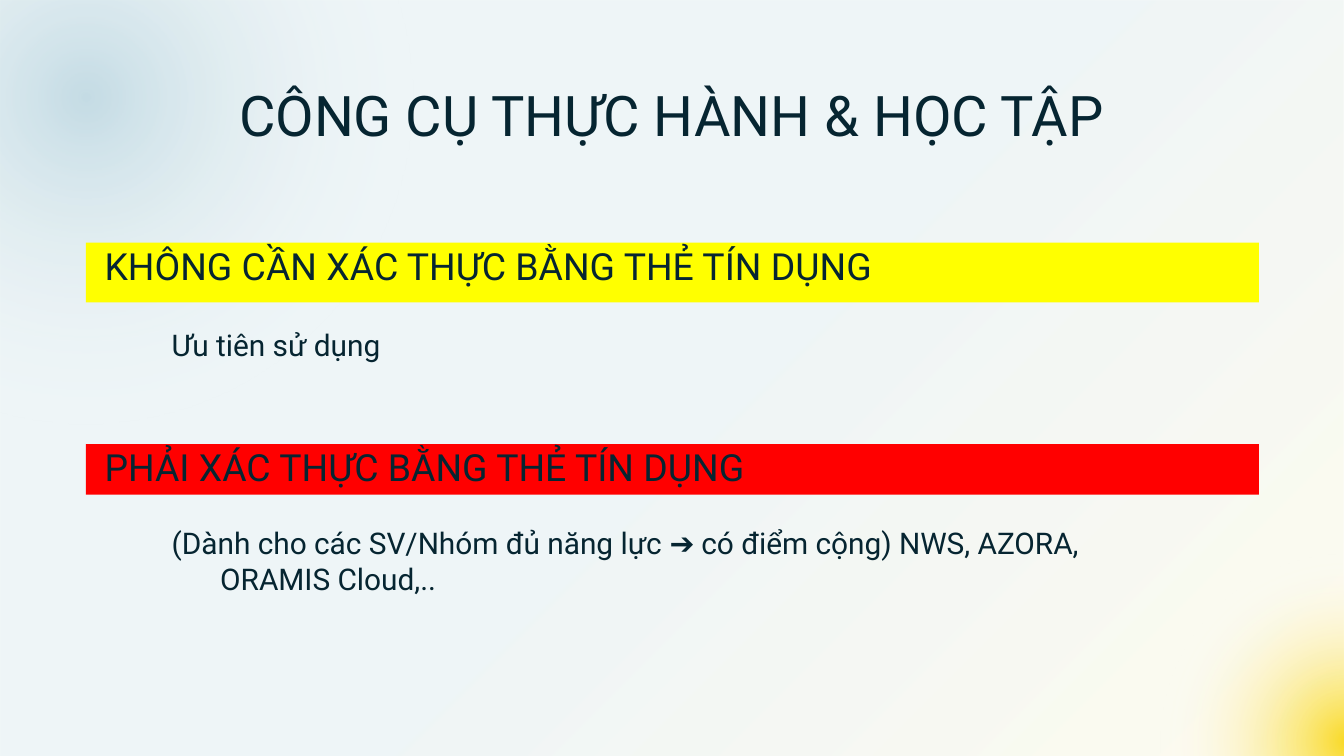
from lxml import etree
from pptx import Presentation
from pptx.dml.color import RGBColor
from pptx.enum.shapes import MSO_SHAPE
from pptx.enum.text import MSO_ANCHOR, PP_ALIGN
from pptx.oxml.ns import qn
from pptx.util import Pt

RECT, OVAL = MSO_SHAPE.RECTANGLE, MSO_SHAPE.OVAL
TOP, MIDDLE = MSO_ANCHOR.TOP, MSO_ANCHOR.MIDDLE
LEFT, CENTER = PP_ALIGN.LEFT, PP_ALIGN.CENTER

WIDE, HIGH = 720, 405
FONT = "Roboto"
COLORS = {
    "ink": "062531",
    "blue": "187498",
    "gold": "F9D923",
    "white": "FFFFFF",
    "yellow": "FFFF00",
    "red": "FF0000",
}


def add_shape(slide, kind, box):
    shape = slide.shapes.add_shape(kind, *map(Pt, box))
    shape.shadow.inherit = False
    shape.line.fill.background()
    shape.fill.background()
    return shape


def add_blend(slide, kind, box, stops, angle=None):
    """Gradient shape; stops are (position, color, opacity) in percent.

    Without an angle the gradient spreads from the centre.
    """
    shape = add_shape(slide, kind, box)
    grad = etree.Element(qn("a:gradFill"), rotWithShape="1")
    row = etree.SubElement(grad, qn("a:gsLst"))
    for pos, name, alpha in stops:
        stop = etree.SubElement(row, qn("a:gs"), pos=str(pos * 1000))
        color = etree.SubElement(stop, qn("a:srgbClr"), val=COLORS[name])
        etree.SubElement(color, qn("a:alpha"), val=str(alpha * 1000))
    if angle is None:
        way = etree.SubElement(grad, qn("a:path"), path="circle")
        sides = dict.fromkeys("ltrb", "50000")
        etree.SubElement(way, qn("a:fillToRect"), **sides)
    else:
        etree.SubElement(grad, qn("a:lin"), ang=str(angle * 60000), scaled="0")
    props = shape._element.spPr
    props.replace(props.find(qn("a:noFill")), grad)


def add_glow(slide, x, y, radius, name, alpha):
    box = (x - radius, y - radius, 2 * radius, 2 * radius)
    stops = [(0, name, alpha), (50, "white", 0), (100, "white", 0)]
    add_blend(slide, OVAL, box, stops)


def set_text(shape, text, size, align=LEFT, anchor=TOP, hang=True):
    frame = shape.text_frame
    frame.word_wrap = True
    frame.vertical_anchor = anchor
    frame.margin_left = frame.margin_right = 0
    frame.margin_top = frame.margin_bottom = 0
    para = frame.paragraphs[0]
    para.text = text
    para.alignment = align
    para.font.name = FONT
    para.font.size = Pt(size)
    para.font.color.rgb = RGBColor.from_string(COLORS["ink"])
    if hang:
        props = para._p.get_or_add_pPr()
        props.set("marL", str(Pt(36)))
        props.set("indent", str(Pt(-26)))


def add_label(slide, box, text, size, **style):
    label = slide.shapes.add_textbox(*map(Pt, box))
    set_text(label, text, size, **style)


def add_bar(slide, top, high, name, text):
    bar = add_shape(slide, RECT, (46, top, 628.5, high))
    bar.fill.solid()
    bar.fill.fore_color.rgb = RGBColor.from_string(COLORS[name])
    set_text(bar, text, 20)


def main():
    deck = Presentation()
    deck.slide_width, deck.slide_height = Pt(WIDE), Pt(HIGH)
    slide = deck.slides.add_slide(deck.slide_layouts[6])

    # Backdrop: pale diagonal wash and two corner glows
    wash = [(0, "blue", 7), (50, "blue", 7), (100, "gold", 7)]
    add_blend(slide, RECT, (0, 0, WIDE, HIGH), wash, angle=45)
    add_glow(slide, 46, 52, 250.5, "blue", 19)
    add_glow(slide, 722, 397, 142, "gold", 100)

    # Title
    add_label(slide, (57.5, 42.5, 605, 37), "CÔNG CỤ THỰC HÀNH & HỌC TẬP", 30,
              align=CENTER, anchor=MIDDLE, hang=False)

    # Sections: a colored heading bar with a note below
    parts = [
        (130, 32, "yellow", "KHÔNG CẦN XÁC THỰC BẰNG THẺ TÍN DỤNG",
         175, "Ưu tiên sử dụng"),
        (238, 27, "red", "PHẢI XÁC THỰC BẰNG THẺ TÍN DỤNG",
         281, "(Dành cho các SV/Nhóm đủ năng lực ➔ có điểm cộng) "
              "NWS, AZORA, ORAMIS Cloud,.."),
    ]
    for top, high, name, head, below, note in parts:
        add_bar(slide, top, high, name, head)
        add_label(slide, (82, below, 526, 37), note, 16)

    deck.save("out.pptx")


if __name__ == "__main__":
    main()
